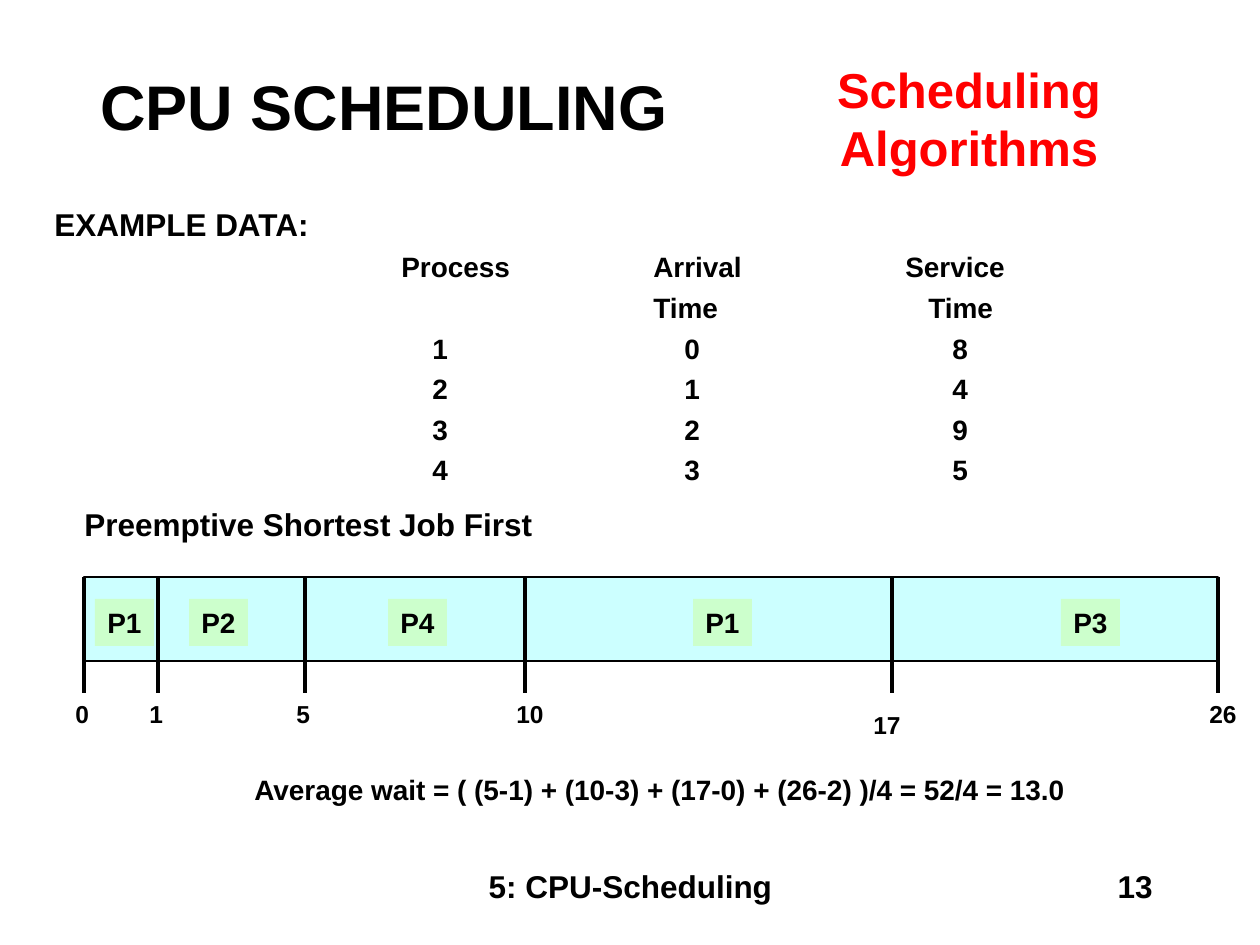
from lxml import etree
from pptx import Presentation
from pptx import util as u
from pptx.dml.color import RGBColor
from pptx.enum import shapes, text
from pptx.oxml.ns import qn

BLACK = RGBColor(0x00, 0x00, 0x00)
RED = RGBColor(0xFF, 0x00, 0x00)
BAR_BLUE = RGBColor(0xCC, 0xFF, 0xFF)
CHIP_GREEN = RGBColor(0xCC, 0xFF, 0xCC)
LEFT, CENTER, RIGHT = (text.PP_ALIGN.LEFT, text.PP_ALIGN.CENTER,
                       text.PP_ALIGN.RIGHT)


class Page:
    FONT = "Arial"
    EMU_PER_PX = 914400 / 126

    def __init__(self, deck):
        self.slide = deck.slides.add_slide(deck.slide_layouts[5])
        self.shapes = self.slide.shapes

    @classmethod
    def px(cls, *lengths):
        return [u.Emu(round(n * cls.EMU_PER_PX)) for n in lengths]

    def add_words(self, paragraph, words, size, color=BLACK, align=LEFT):
        paragraph.alignment = align
        run = paragraph.add_run()
        run.text = words
        font_format = {"name": self.FONT, "size": u.Pt(size), "bold": True}
        for key, value in font_format.items():
            setattr(run.font, key, value)
        run.font.color.rgb = color

    def fill_frame(self, frame, lines, size, wrap=True, **style):
        frame.word_wrap = wrap
        for i, line in enumerate(lines):
            paragraph = frame.add_paragraph() if i else frame.paragraphs[0]
            self.add_words(paragraph, line, size, **style)

    def title(self, box, words, size):
        heading = self.shapes.title
        for key, value in zip(("left", "top", "width", "height"), self.px(*box)):
            setattr(heading, key, value)
        heading.text_frame.vertical_anchor = text.MSO_ANCHOR.MIDDLE
        self.fill_frame(heading.text_frame, [words], size, align=CENTER)

    def label(self, box, lines, size, **style):
        frame = self.shapes.add_textbox(*self.px(*box)).text_frame
        self.fill_frame(frame, lines, size, **style)
        return frame

    def rectangle(self, box, color, outline=None):
        rect = self.shapes.add_shape(shapes.MSO_SHAPE.RECTANGLE, *self.px(*box))
        rect.shadow.inherit = False
        rect.fill.solid()
        rect.fill.fore_color.rgb = color
        if outline:
            rect.line.color.rgb = BLACK
            rect.line.width = u.Pt(outline)
        else:
            rect.line.fill.background()
        return rect

    def chip(self, box, words, size):
        frame = self.rectangle(box, CHIP_GREEN).text_frame
        self.fill_frame(frame, [words], size, wrap=False)

    def vertical(self, x, top, bottom, width):
        line = self.shapes.add_connector(shapes.MSO_CONNECTOR.STRAIGHT,
                                         *self.px(x, top, x, bottom))
        line.line.color.rgb = BLACK
        line.line.width = u.Pt(width)
        etree.SubElement(line._element.spPr, qn("a:effectLst"))

    def tabbed_row(self, frame, cells, stops, size):
        paragraph = frame.add_paragraph()
        paragraph.space_before = u.Pt(4)
        self.add_words(paragraph, "".join("\t" + cell for cell in cells), size)
        tabs = etree.SubElement(paragraph._p.get_or_add_pPr(), qn("a:tabLst"))
        for stop in self.px(*stops):
            etree.SubElement(tabs, qn("a:tab"), pos=str(stop), algn="l")


def main():
    deck = Presentation()
    deck.slide_width, deck.slide_height = u.Inches(10), u.Inches(7.5)
    page = Page(deck)

    # Headings
    page.title((74, 42, 620, 126), "CPU SCHEDULING", 36)
    page.label((746, 53, 446, 130), ["Scheduling", "Algorithms"], 28,
               color=RED, align=CENTER)

    # Example data, in columns set by tab stops
    data = page.label((42, 199, 1187, 294), ["EXAMPLE DATA:"], 18)
    data.paragraphs[0].space_before = u.Pt(4)
    page.tabbed_row(data, ["Process", "Arrival", "Service"], (347, 599, 851), 16)
    page.tabbed_row(data, ["Time", "Time"], (599, 874), 16)
    for process in [(1, 0, 8), (2, 1, 4), (3, 2, 9), (4, 3, 5)]:
        page.tabbed_row(data, map(str, process), (378, 630, 898), 16)

    # Schedule bar
    page.label((72, 499, 474, 50), ["Preemptive Shortest Job First"], 18,
               wrap=False)
    bar_left, bar_top, bar_right = 84, 577, 1218
    page.rectangle((bar_left, bar_top, bar_right - bar_left, 84), BAR_BLUE, 0.75)

    # Time marks: time, x, label offset from the mark
    marks = [("0", bar_left, (-21, 0)), ("1", 158, (-21, 0)),
             ("5", 305, (-21, 0)), ("10", 525, (-21, 0)),
             ("17", 892, (-31, 11)), ("26", bar_right, (-21, 0))]
    marks_bottom = 693
    for time, x, (dx, dy) in marks:
        page.vertical(x, bar_top, marks_bottom, 2.25)
        width = 39 if len(time) == 1 else 53
        page.label((x + dx, marks_bottom + dy, width, 42), [time], 14, wrap=False)

    # Running processes
    for process, x in [("P1", 95), ("P2", 189), ("P4", 388), ("P1", 693),
                       ("P3", 1061)]:
        page.chip((x, 599, 59, 47), process, 16)

    # Result and footer
    page.label((242, 766, 842, 47),
               ["Average wait = ( (5-1) + (10-3) + (17-0) + (26-2) )/4 = 52/4 = 13.0"],
               16, wrap=False)
    page.label((431, 861, 399, 63), ["5: CPU-Scheduling"], 18, align=CENTER)
    page.label((903, 861, 262, 63), ["13"], 18, align=RIGHT)

    deck.save("out.pptx")


if __name__ == "__main__":
    main()
